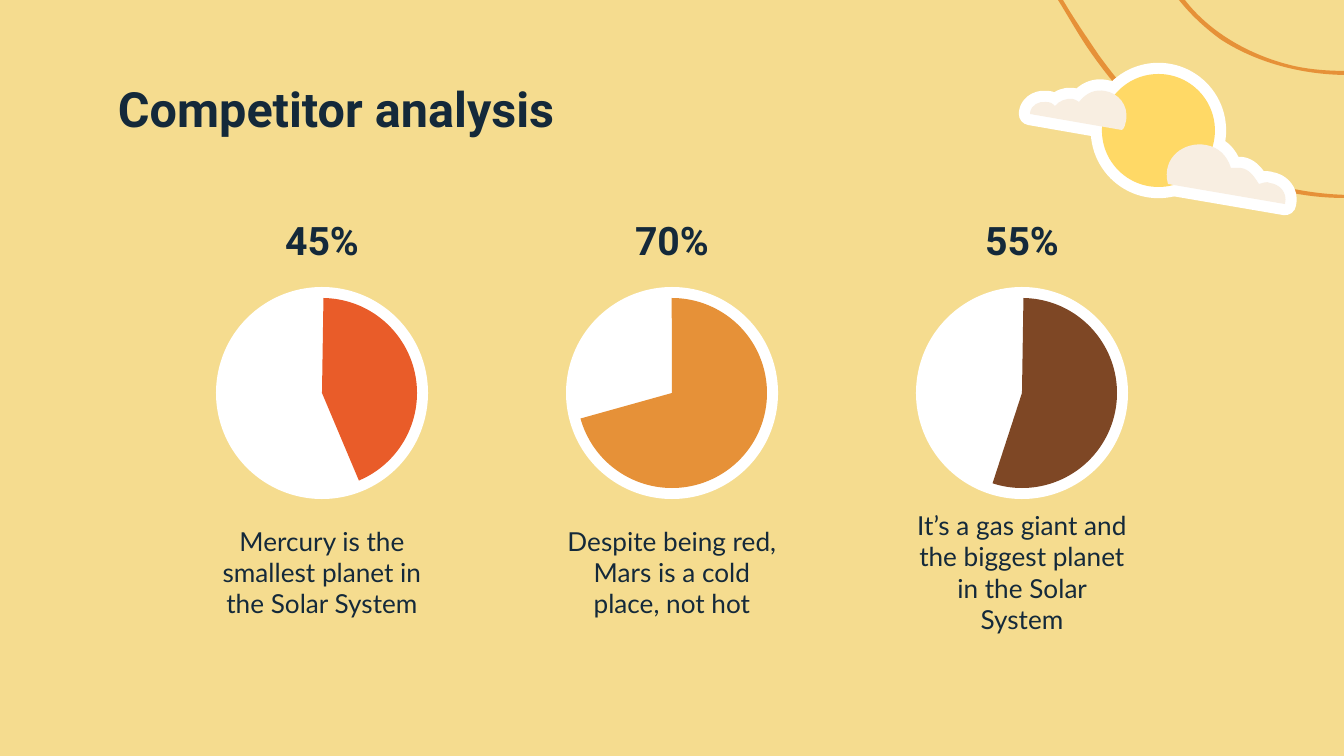
from itertools import chain

from lxml import etree
from pptx import Presentation
from pptx import util as u
from pptx.dml.color import RGBColor
from pptx.enum import shapes, text
from pptx.oxml.ns import qn

PX = 914400 / 134.4
INSET = 14

SAND = RGBColor(0xF5, 0xDC, 0x8F)
NAVY = RGBColor(0x14, 0x29, 0x3A)
WHITE = RGBColor(0xFF, 0xFF, 0xFF)
RED = RGBColor(0xE9, 0x5C, 0x29)
ORANGE = RGBColor(0xE6, 0x91, 0x38)
BROWN = RGBColor(0x7E, 0x47, 0x25)
SUN_YELLOW = RGBColor(0xFF, 0xD9, 0x66)
CLOUD_CREAM = RGBColor(0xF8, 0xEE, 0xE1)

# Outlines start with a point; then pairs are lines and sixes are cubic curves.
OUTER_ORBIT = [
    (0, 0), (10, 16, 20, 34, 31, 50), (58, 89, 91, 126, 138, 156),
    (160, 169, 183, 179, 209, 187), (234, 194, 259, 198, 286, 198),
    (290, 198), (290, 195), (239, 194, 189, 180, 150, 157),
    (102, 130, 68, 93, 40, 54), (28, 36, 16, 19, 5, 0),
]
INNER_ORBIT = [
    (121, 0), (133, 15, 146, 27, 162, 39), (197, 62, 243, 75, 290, 75),
    (290, 71), (273, 71, 254, 70, 236, 66), (189, 55, 150, 30, 127, 0),
]
LEFT_CLOUD = [
    (87, 29), (77, 27, 68, 31, 61, 40), (59, 39, 57, 37, 55, 37),
    (48, 36, 41, 39, 37, 44), (34, 41, 32, 40, 28, 40),
    (21, 39, 13, 43, 12, 51), (12, 52), (104, 68),
    (107, 66, 107, 62, 108, 59), (111, 43, 100, 31, 87, 29),
]
RIGHT_CLOUD = [
    (188, 83), (167, 79, 143, 95, 150, 122), (267, 142),
    (270, 130, 261, 122, 252, 121), (249, 119, 245, 121, 241, 122),
    (236, 114, 231, 107, 223, 106), (219, 106, 216, 106, 213, 106),
    (209, 93, 200, 85, 188, 83),
]

# Percentage, slice start and end in degrees, slice colour, caption
PLANETS = [
    ("45%", 270.89, 67.14, RED, "Mercury is the smallest planet in the Solar System"),
    ("70%", 269.82, 164.4, ORANGE, "Despite being red, Mars is a cold place, not hot"),
    ("55%", 270.89, 108.05, BROWN, "It’s a gas giant and the biggest planet in the Solar System"),
]


def px(*lengths):
    return [u.Emu(round(length * PX)) for length in lengths]


def paint(shape, color, outline=None):
    """Fill a shape; outline is an optional line width in points."""
    shape.shadow.inherit = False
    shape.fill.solid()
    shape.fill.fore_color.rgb = color
    if outline is None:
        shape.line.fill.background()
    else:
        shape.line.color.rgb = color
        shape.line.width = u.Pt(outline)
        etree.SubElement(shape.line._get_or_add_ln(), qn("a:round"))
    return shape


def add_preset(slide, kind, box, color, outline=None):
    return paint(slide.shapes.add_shape(kind, *px(*box)), color, outline)


def add_outline(slide, left, top, outline, color, line_width=None):
    """Build a freeform, then join each curve's three points into one cubic."""
    numbers = list(chain.from_iterable(outline))
    start, *rest = [px(left + x, top + y) for x, y in zip(numbers[::2], numbers[1::2])]
    builder = slide.shapes.build_freeform(*start)
    builder.add_line_segments(rest, close=True)
    shape = builder.convert_to_shape()
    lines = iter(list(shape._element.iter(qn("a:lnTo"))))
    for segment in outline[1:]:
        first = next(lines)
        if len(segment) == 6:
            first.tag = qn("a:cubicBezTo")
            for extra in (next(lines), next(lines)):
                first.append(extra[0])
                extra.getparent().remove(extra)
    paint(shape, color, line_width)


def add_label(slide, box, words, size, font, bold=False,
              anchor=text.MSO_ANCHOR.TOP, align=text.PP_ALIGN.LEFT):
    frame = slide.shapes.add_textbox(*px(*box)).text_frame
    frame.word_wrap = True
    frame.vertical_anchor = anchor
    frame.margin_left, frame.margin_top, frame.margin_right, frame.margin_bottom = px(*[INSET] * 4)
    paragraph = frame.paragraphs[0]
    paragraph.text = words
    paragraph.alignment = align
    paragraph.font.name = font
    paragraph.font.size = u.Pt(size)
    paragraph.font.bold = bold
    paragraph.font.color.rgb = NAVY


def add_orbits(slide, left, top):
    for orbit in (OUTER_ORBIT, INNER_ORBIT):
        add_outline(slide, left, top, orbit, ORANGE)


def add_planet(slide, left, top, width, planet):
    """Stack percentage, pie and caption, all centred in one column."""
    percentage, start, end, color, caption = planet

    def centred(offset, part_width, height):
        return left + (width - part_width) / 2, top + offset, part_width, height

    add_label(slide, centred(0, 318, 67), percentage, 21, "Roboto", True,
              text.MSO_ANCHOR.BOTTOM, text.PP_ALIGN.CENTER)
    add_preset(slide, shapes.MSO_SHAPE.OVAL, centred(77, 212, 212), WHITE)
    pie = add_preset(slide, shapes.MSO_SHAPE.PIE, centred(88, 190, 190), color)
    for index, degrees in enumerate((start, end)):
        pie.adjustments[index] = degrees * 0.6
    add_label(slide, centred(304, 244, 116), caption, 14, "Lato",
              anchor=text.MSO_ANCHOR.MIDDLE, align=text.PP_ALIGN.CENTER)


def add_sun_and_clouds(slide, left, top):
    """Draw the wide white rims first, then the coloured parts over them."""
    for sun_color, cloud_color, rim in ((WHITE, WHITE, 12), (SUN_YELLOW, CLOUD_CREAM, None)):
        add_preset(slide, shapes.MSO_SHAPE.OVAL, (left + 84, top + 12, 113, 113), sun_color, rim)
        for cloud in (LEFT_CLOUD, RIGHT_CLOUD):
            add_outline(slide, left, top, cloud, cloud_color, rim)


def main():
    prs = Presentation()
    prs.slide_width, prs.slide_height = px(1344, 756)
    slide = prs.slides.add_slide(prs.slide_layouts[6])
    slide.background.fill.solid()
    slide.background.fill.fore_color.rgb = SAND

    add_orbits(slide, 1058, 0)
    add_label(slide, (104, 65, 1134, 84), "Competitor analysis", 26, "Roboto", True)
    column_width = 350
    for column, planet in enumerate(PLANETS):
        add_planet(slide, 147 + column * column_width, 210, column_width, planet)
    add_sun_and_clouds(slide, 1018, 62)
    prs.save("out.pptx")


if __name__ == "__main__":
    main()
